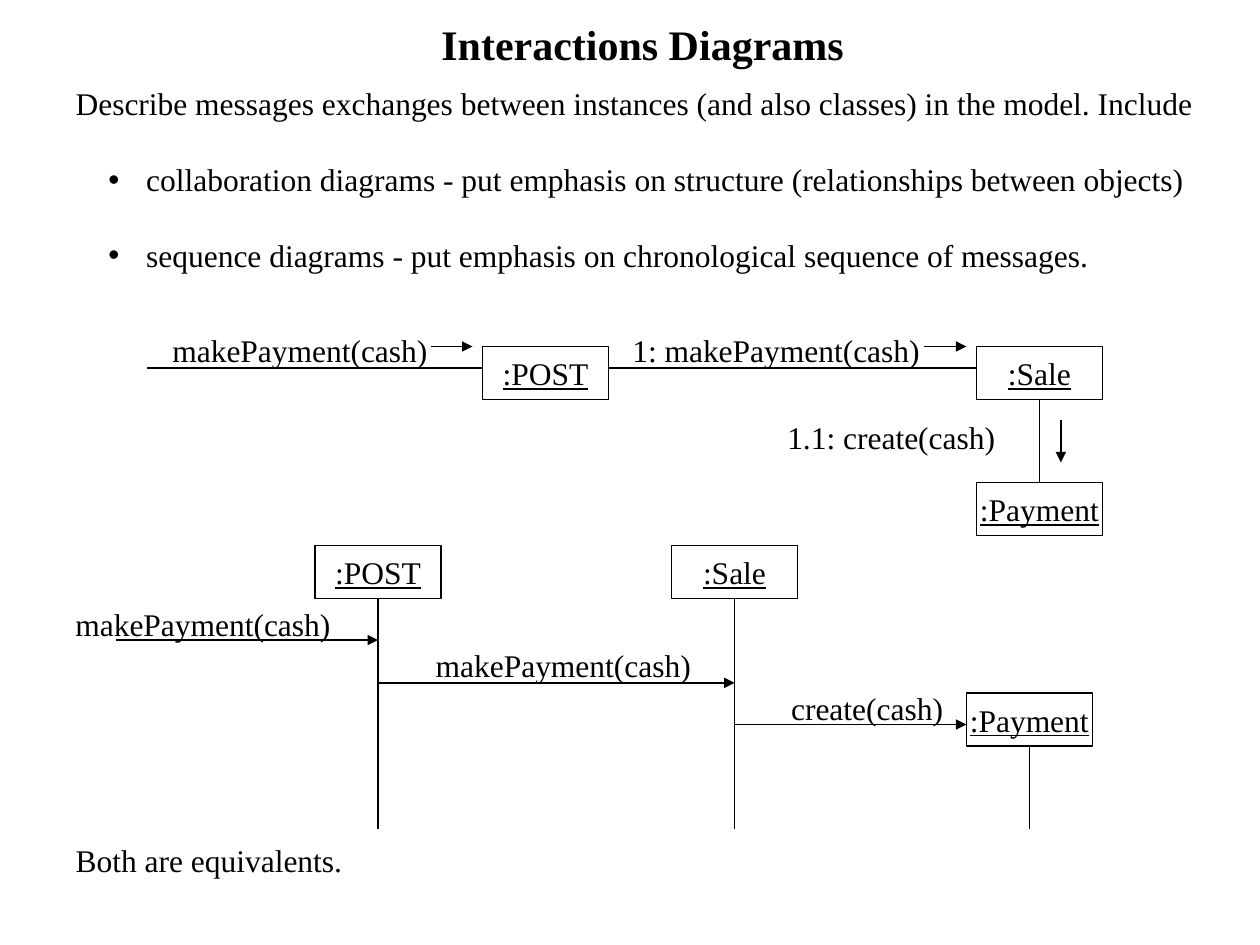
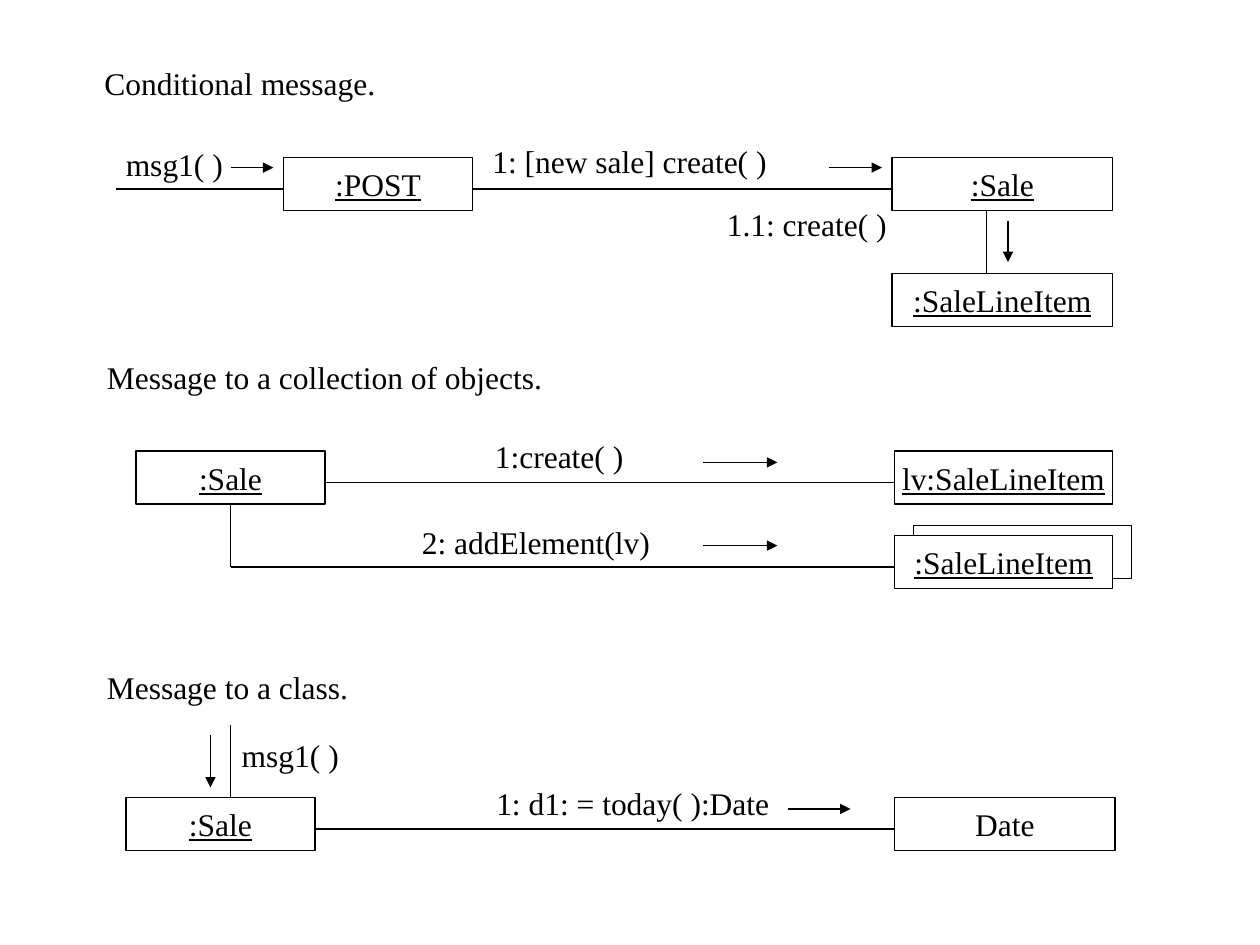
"""Build two slides that introduce interaction diagrams."""
from lxml.etree import SubElement
from pptx import Presentation
from pptx.dml.color import RGBColor
from pptx.enum.shapes import MSO_CONNECTOR as Connector, MSO_SHAPE as Shape
from pptx.enum.text import MSO_ANCHOR as Anchor, MSO_AUTO_SIZE as AutoSize, PP_ALIGN as Align
from pptx.oxml.ns import qn
from pptx.util import Inches, Pt

BLACK = RGBColor(0, 0, 0)
WHITE = RGBColor(255, 255, 255)
FONT = "Times New Roman"
TEXT_SIZE = 18
TITLE_SIZE = 24
BOX_HEIGHT = 0.42
LABEL_HEIGHT = 0.4
LABEL_SLACK = 0.15
TITLE_CONTENT, BLANK = 1, 6


class DiagramDeck:
    """Hold the deck style and draw on the current slide."""

    def __init__(self):
        self.deck = Presentation()
        self.deck.slide_width, self.deck.slide_height = Inches(10), Inches(7.5)
        self.slide = None

    def new_slide(self, layout):
        self.slide = self.deck.slides.add_slide(self.deck.slide_layouts[layout])

    def place(self, shape, left, top, width, height):
        shape.left, shape.top = Inches(left), Inches(top)
        shape.width, shape.height = Inches(width), Inches(height)

    def style(self, para, size=TEXT_SIZE, bold=False, underline=False):
        for span in para.runs:
            font = span.font
            font.name, font.size = FONT, Pt(size)
            font.bold, font.underline = bold, underline
            font.color.rgb = BLACK

    def title(self, text, *area):
        box = self.slide.shapes.title
        self.place(box, *area)
        frame = box.text_frame
        frame.text = text
        frame.auto_size = AutoSize.NONE
        para = frame.paragraphs[0]
        para.alignment = Align.CENTER
        self.style(para, TITLE_SIZE, bold=True)

    def body(self, items, *area):
        box = self.slide.placeholders[1]
        self.place(box, *area)
        frame = box.text_frame
        frame.text = "\n".join(text for text, _, _ in items)
        frame.auto_size = AutoSize.NONE
        for para, (_, bulleted, gap) in zip(frame.paragraphs, items):
            self.bullet(para, bulleted)
            para.space_before = Pt(gap)
            self.style(para)

    def bullet(self, para, bulleted):
        para.level = int(bulleted)
        properties = para._p.get_or_add_pPr()
        properties.set("marL", str(Inches(0.56 if bulleted else 0)))
        properties.set("indent", str(Inches(-0.3 if bulleted else 0)))
        if bulleted:
            SubElement(properties, qn("a:buChar"), char="•")
        else:
            SubElement(properties, qn("a:buNone"))

    def label(self, text, left, top, width):
        box = self.slide.shapes.add_textbox(0, 0, 0, 0)
        self.place(box, left, top, width + LABEL_SLACK, LABEL_HEIGHT)
        frame = box.text_frame
        frame.text = text
        frame.word_wrap = True
        self.style(frame.paragraphs[0])

    def box(self, text, left, top, width=1, underline=True):
        box = self.slide.shapes.add_shape(Shape.RECTANGLE, 0, 0, 0, 0)
        self.place(box, left, top, width, BOX_HEIGHT)
        box.shadow.inherit = False
        box.fill.solid()
        box.fill.fore_color.rgb = WHITE
        box.line.color.rgb = BLACK
        box.line.width = Pt(0.75)
        if text:
            frame = box.text_frame
            frame.text = text
            frame.word_wrap = False
            frame.vertical_anchor = Anchor.MIDDLE
            para = frame.paragraphs[0]
            para.alignment = Align.CENTER
            self.style(para, underline=underline)
        return box

    def line(self, left, top, right, bottom, arrow=False):
        ends = (Inches(value) for value in (left, top, right, bottom))
        line = self.slide.shapes.add_connector(Connector.STRAIGHT, *ends)
        line.line.color.rgb = BLACK
        line.line.width = Pt(0.75)
        if arrow:
            SubElement(line.line._get_or_add_ln(), qn("a:tailEnd"), type="triangle")
        SubElement(line._element.spPr, qn("a:effectLst"))
        return line

    def arrow(self, left, top, right, bottom):
        self.line(left, top, right, bottom, arrow=True)

    def drop(self, box, bottom, target=None):
        middle = (box.left + box.width / 2) / Inches(1)
        line = self.line(middle, (box.top + box.height) / Inches(1), middle, bottom)
        line.begin_connect(box, 2)
        if target is not None:
            line.end_connect(target, 0)


def overview_slide(show):
    show.new_slide(TITLE_CONTENT)
    show.title("Interactions Diagrams", 3, 0.1, 4.2, 0.5)
    show.body([
        ("Describe messages exchanges between instances (and also classes) in the model. Include", False, 0),
        ("collaboration diagrams - put emphasis on structure (relationships between objects)", True, 21.75),
        ("sequence diagrams - put emphasis on chronological sequence of messages.", True, 21.75),
        ("Both are equivalents.", False, 324),
    ], 0.5, 0.62, 9.2, 6.7)

    show.line(1.17, 2.92, 7.83, 2.92)
    show.box(":POST", 3.83, 2.75)
    sale = show.box(":Sale", 7.75, 2.75)
    payment = show.box(":Payment", 7.75, 3.83)
    show.drop(sale, 3.83, payment)

    lifeline_end = 6.58
    for text, left, top in ((":POST", 2.5, 4.33), (":Sale", 5.33, 4.33), (":Payment", 7.67, 5.5)):
        show.drop(show.box(text, left, top), lifeline_end)

    for arrow in (
        (0.92, 5.08, 3, 5.08), (3, 5.42, 5.83, 5.42), (5.83, 5.75, 7.67, 5.75),
        (3.42, 2.75, 3.75, 2.75), (7.33, 2.75, 7.67, 2.75), (8.42, 3.33, 8.42, 3.67),
    ):
        show.arrow(*arrow)
    for label in (
        ("makePayment(cash)", 1.27, 2.58, 2.22),
        ("1: makePayment(cash)", 4.92, 2.58, 2.48),
        ("1.1: create(cash)", 6.15, 3.27, 1.85),
        ("makePayment(cash)", 0.5, 4.75, 2.22),
        ("makePayment(cash)", 3.36, 5.08, 2.22),
        ("create(cash)", 6.18, 5.42, 1.4),
    ):
        show.label(*label)


def message_slide(show):
    show.new_slide(BLANK)
    for line in (
        (0.92, 1.5, 7.25, 1.5), (7.83, 1.5, 7.83, 2.17),
        (1.42, 3.83, 7.27, 3.83), (7.17, 4.5, 1.83, 4.5),
        (2.08, 6.58, 7.27, 6.58), (1.83, 5.75, 1.83, 6.46),
    ):
        show.line(*line)

    show.box(":POST", 2.25, 1.25, 1.5)
    show.box(":Sale", 7.08, 1.25, 1.75)
    show.box(":SaleLineItem", 7.08, 2.17, 1.75)

    sale = show.box(":Sale", 1.08, 3.58, 1.5)
    show.drop(sale, 4.5)
    show.box("lv:SaleLineItem", 7.1, 3.58, 1.73)
    show.box("", 7.25, 4.17, 1.73)
    show.box(":SaleLineItem", 7.1, 4.25, 1.73)

    show.box(":Sale", 1, 6.33, 1.5)
    show.box("Date", 7.1, 6.33, 1.75, underline=False)

    for arrow in (
        (1.83, 1.33, 2.17, 1.33), (6.58, 1.33, 7, 1.33), (8, 1.75, 8, 2.08),
        (5.58, 3.67, 6.17, 3.67), (5.58, 4.33, 6.17, 4.33),
        (1.67, 5.83, 1.67, 6.25), (6.25, 6.42, 6.75, 6.42),
    ):
        show.arrow(*arrow)
    for label in (
        ("Conditional message.", 0.73, 0.46, 2.35),
        ("msg1( )", 0.9, 1.1, 0.97),
        ("1: [new sale] create( )", 3.81, 1.08, 2.38),
        ("1.1: create( )", 5.67, 1.58, 1.47),
        ("Message to a collection of objects.", 0.75, 2.79, 3.65),
        ("1:create( )", 3.83, 3.42, 1.22),
        ("2: addElement(lv)", 3.25, 4.1, 2.01),
        ("Message to a class.", 0.75, 5.25, 2.11),
        ("msg1( )", 1.82, 5.79, 0.97),
        ("1: d1: = today( ):Date", 3.84, 6.17, 2.37),
    ):
        show.label(*label)


def main():
    show = DiagramDeck()
    overview_slide(show)
    message_slide(show)
    show.deck.save("out.pptx")


if __name__ == "__main__":
    main()
